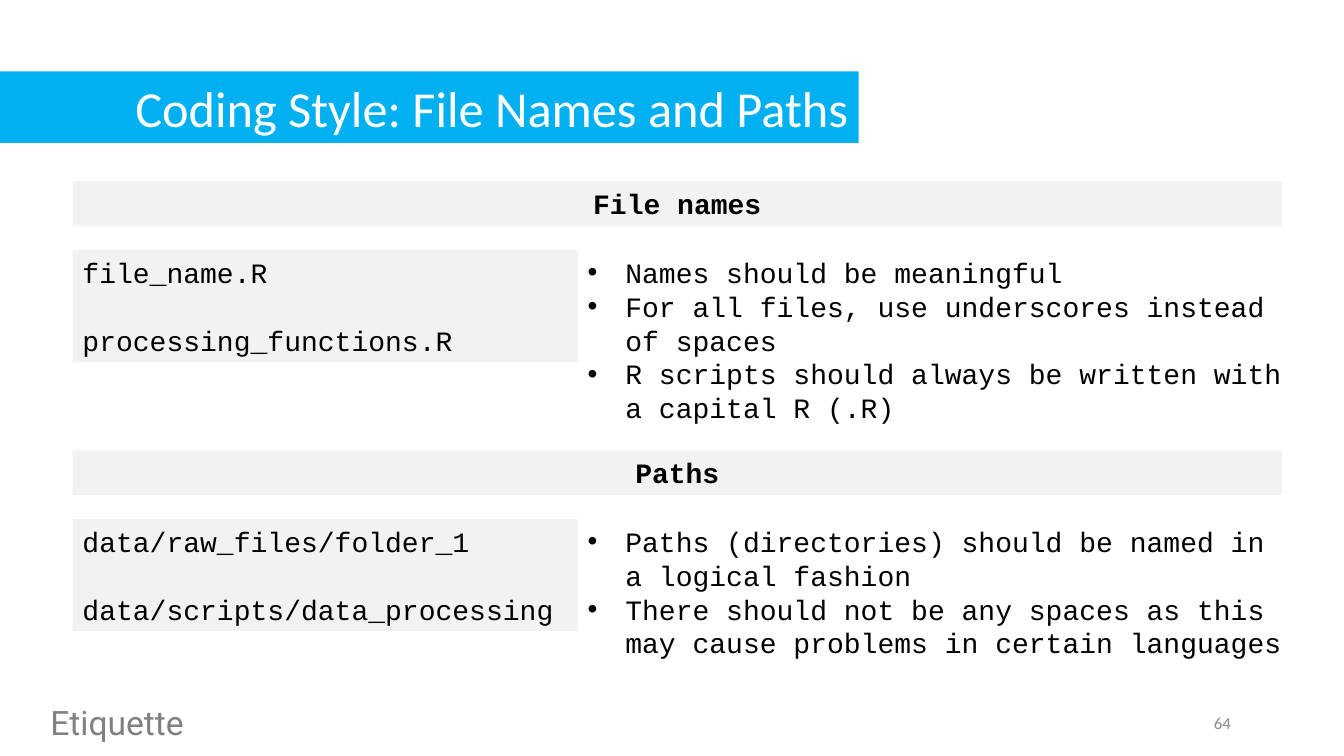
from lxml import etree
from pptx import Presentation
from pptx.dml.color import RGBColor
from pptx.enum.shapes import MSO_SHAPE
from pptx.enum.text import MSO_ANCHOR, PP_ALIGN
from pptx.oxml.ns import qn
from pptx.util import Cm, Pt

RECTANGLE = MSO_SHAPE.RECTANGLE
TOP, MIDDLE = MSO_ANCHOR.TOP, MSO_ANCHOR.MIDDLE
LEFT, CENTER, RIGHT = PP_ALIGN.LEFT, PP_ALIGN.CENTER, PP_ALIGN.RIGHT

COLORS = {
    "banner": "00B0F0",
    "panel": "F2F2F2",
    "white": "FFFFFF",
    "black": "000000",
    "footer": "808080",
    "number": "8C8C8C",
}
CODE_FONT = "Courier New"
CODE_LINE = Pt(24.2)
MARGIN = 1.83
CODE_WIDTH = 12.73
SECTION_TOP = 4.57
SECTION_STEP = 6.78
BODY_OFFSET = 1.73

SECTIONS = [
    (
        "File names",
        ["file_name.R", "processing_functions.R"],
        [
            "Names should be meaningful",
            "For all files, use underscores instead of spaces",
            "R scripts should always be written with a capital R (.R)",
        ],
        4.52,
    ),
    (
        "Paths",
        ["data/raw_files/folder_1", "data/scripts/data_processing"],
        [
            "Paths (directories) should be named in a logical fashion",
            "There should not be any spaces as this may cause problems in certain languages",
        ],
        3.68,
    ),
]


def add_panel(page, left, top, width, height, color):
    panel = page.shapes.add_shape(RECTANGLE, Cm(left), Cm(top), Cm(width), Cm(height))
    panel.shadow.inherit = False
    panel.fill.solid()
    panel.fill.fore_color.rgb = RGBColor.from_string(COLORS[color])
    panel.line.fill.background()
    return panel


def add_box(page, left, top, width, height):
    return page.shapes.add_textbox(Cm(left), Cm(top), Cm(width), Cm(height))


def add_bullet(para):
    properties = para._p.get_or_add_pPr()
    properties.set("marL", str(Cm(0.95)))
    properties.set("indent", str(Cm(-0.95)))
    etree.SubElement(properties, qn("a:buFont"), typeface="Arial")
    etree.SubElement(properties, qn("a:buChar"), char="•")


def write(shape, lines, size, font=CODE_FONT, color="black", align=LEFT,
          anchor=TOP, bold=False, bullets=False, gap=None):
    frame = shape.text_frame
    frame.word_wrap = True
    frame.vertical_anchor = anchor
    for index, line in enumerate(lines):
        para = frame.add_paragraph() if index else frame.paragraphs[0]
        if bullets:
            add_bullet(para)
        para.alignment = align
        if font == CODE_FONT:
            para.line_spacing = CODE_LINE
        if index and gap:
            para.space_before = gap
        span = para.add_run()
        span.text = line
        span.font.name = font
        span.font.size = Pt(size)
        span.font.bold = bold
        span.font.color.rgb = RGBColor.from_string(COLORS[color])


def add_section(page, top, heading, examples, rules, rules_height):
    header = add_panel(page, MARGIN, top, 30.48, 1.12, "panel")
    write(header, [heading], 20, align=CENTER, bold=True)
    body_top = top + BODY_OFFSET
    code = add_panel(page, MARGIN, body_top, CODE_WIDTH, 2.82, "panel")
    write(code, examples, 20, gap=CODE_LINE)
    advice = add_box(page, MARGIN + CODE_WIDTH, body_top, 18.16, rules_height)
    write(advice, rules, 20, bullets=True)


def main():
    deck = Presentation()
    deck.slide_width, deck.slide_height = Cm(33.87), Cm(19.05)
    page = deck.slides.add_slide(deck.slide_layouts[6])

    banner = add_panel(page, 0, 1.8, 21.64, 1.8, "banner")
    write(banner, ["Coding Style: File Names and Paths"], 36, "Calibri", "white",
          RIGHT, MIDDLE)
    for index, section in enumerate(SECTIONS):
        add_section(page, SECTION_TOP + index * SECTION_STEP, *section)
    footer = add_box(page, 1.02, 17.55, 20, 1.28)
    write(footer, ["Etiquette"], 24, "Roboto", "footer")
    number = add_box(page, 23.65, 17.7, 7.62, 1.02)
    write(number, ["64"], 12, "Calibri", "number", RIGHT, MIDDLE)

    deck.save("out.pptx")


if __name__ == "__main__":
    main()
